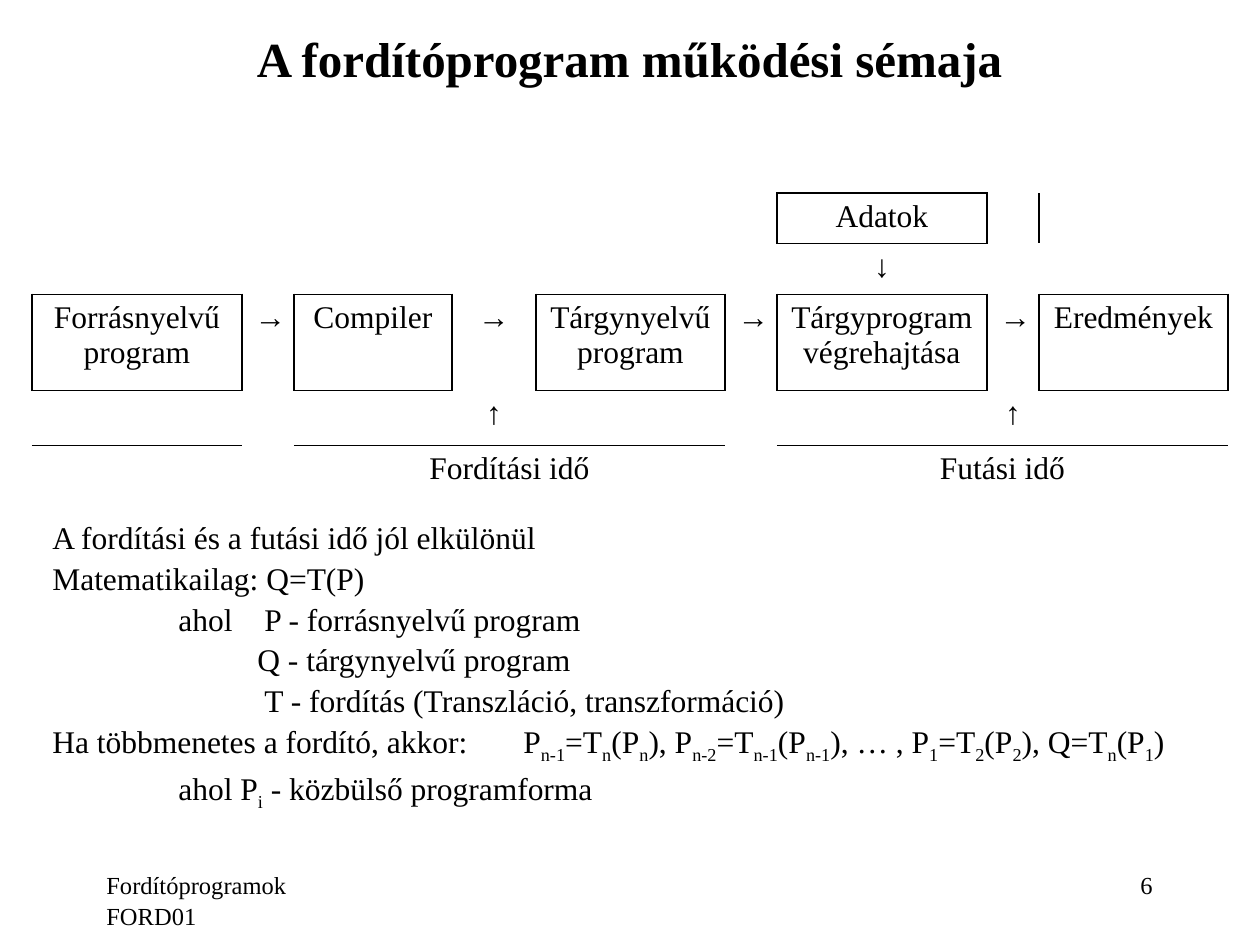
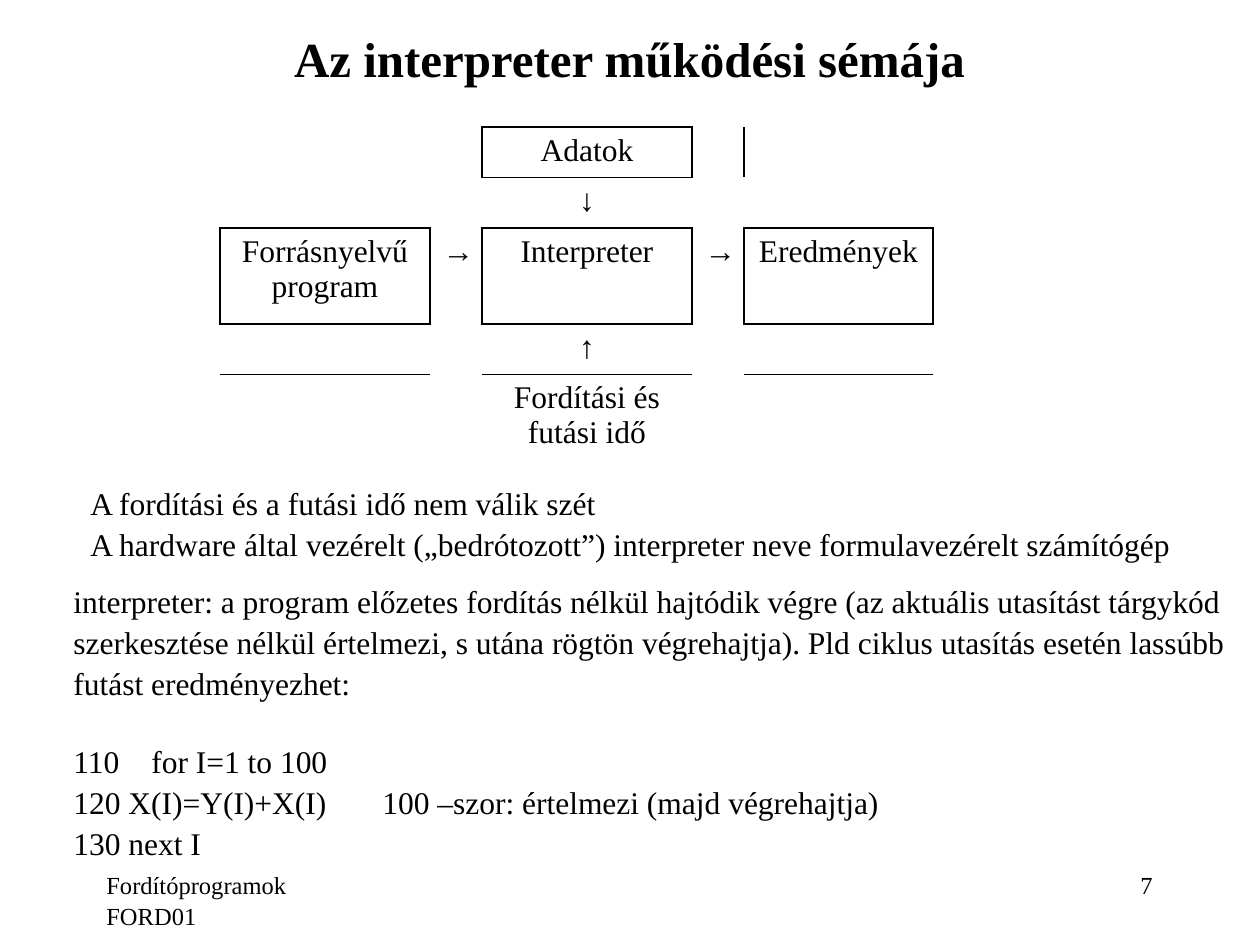
from pptx import Presentation
from pptx import util as u
from pptx.dml.color import RGBColor
from pptx.enum import text
from pptx.oxml import ns
from lxml import etree

SCALE = 914400 / 126
ALIGN = text.PP_ALIGN
NO_GRID = "{2D5ABB26-0587-4C30-8999-92F81FD0307C}"
SIDES = {"lnL": (0, -1), "lnR": (0, 1), "lnT": (-1, 0), "lnB": (1, 0)}


def px(n):
    return u.Emu(round(n * SCALE))


def color(value):
    return RGBColor.from_string(value)


def child(parent, tag, **attrs):
    return etree.SubElement(parent, ns.qn("a:" + tag), {k: str(v) for k, v in attrs.items()})


class Deck:
    font = "Times New Roman"
    ink = "000000"
    paper = "FFFFFF"
    title_size, body_size, footer_size = 28, 18, 14
    line_spacing = 1.08

    def __init__(self):
        self.prs = Presentation()
        self.prs.slide_width, self.prs.slide_height = px(1260), px(945)
        self.s = None

    def slide(self, title, number):
        self.s = self.prs.slides.add_slide(self.prs.slide_layouts[6])
        self.s.background.fill.solid()
        self.s.background.fill.fore_color.rgb = color(self.paper)
        tf = self.box(94, 10, 1071, 95)
        tf.vertical_anchor = text.MSO_ANCHOR.MIDDLE
        self.runs(tf.paragraphs[0], title, self.title_size, ALIGN.CENTER, bold=True)
        footers = [(94, "Fordítóprogramok FORD01", ALIGN.LEFT), (903, str(number), ALIGN.RIGHT)]
        for x, words, align in footers:
            p = self.box(x, 861, 262, 63).paragraphs[0]
            p.line_spacing = self.line_spacing
            self.runs(p, words, self.footer_size, align)

    def box(self, x, y, w, h):
        tf = self.s.shapes.add_textbox(px(x), px(y), px(w), px(h)).text_frame
        tf.word_wrap = True
        return tf

    def runs(self, p, words, size, align=ALIGN.LEFT, bold=False):
        p.alignment = align
        for i, part in enumerate(words.split("_")):
            if not part:
                continue
            r = p.add_run()
            r.text = part
            r.font.name, r.font.size, r.font.bold = self.font, u.Pt(size), bold
            r.font.color.rgb = color(self.ink)
            if i % 2:
                r._r.get_or_add_rPr().set("baseline", "-25000")

    def body(self, x, y, w, h, lines):
        tf = self.box(x, y, w, h)
        for i, (words, tabs, before) in enumerate(lines):
            p = tf.paragraphs[0] if i == 0 else tf.add_paragraph()
            p.line_spacing = self.line_spacing
            p.space_before = u.Pt(before)
            self.runs(p, words, self.body_size)
            if tabs:
                tab_list = child(p._p.get_or_add_pPr(), "tabLst")
                for tab in tabs:
                    child(tab_list, "tab", pos=px(tab), algn="l")

    def scheme(self, x, y, cols, rows, boxes, labels, merges=()):
        frame = self.s.shapes.add_table(len(rows), len(cols), px(x), px(y), px(sum(cols)), px(sum(rows)))
        table = frame.table
        table.first_row = table.horz_banding = False
        table._tbl.tblPr.find(ns.qn("a:tableStyleId")).text = NO_GRID
        for col, w in zip(table.columns, cols):
            col.width = px(w)
        for row, h in zip(table.rows, rows):
            row.height = px(h)
        for r, c, last in merges:
            table.cell(r, c).merge(table.cell(r, last))
        words = {**boxes, **labels}
        for r in range(len(rows)):
            for c in range(len(cols)):
                cell = table.cell(r, c)
                self.borders(cell, r, c, boxes)
                cell.fill.background()
                if (r, c) in words:
                    self.runs(cell.text_frame.paragraphs[0], words[r, c], self.body_size, ALIGN.CENTER)

    def borders(self, cell, r, c, boxes):
        tc_pr = cell._tc.get_or_add_tcPr()
        for tag, (dr, dc) in SIDES.items():
            if (r, c) in boxes or (r + dr, c + dc) in boxes:
                ln = child(tc_pr, tag, w=u.Pt(1))
                child(child(ln, "solidFill"), "srgbClr", val=self.ink)


WIDE, MEDIUM, SMALL, GAP, ARROW = 210, 189, 158, 84, 52
RIGHT, DOWN, UP = "→", "↓", "↑"

deck = Deck()

deck.slide("A fordítóprogram működési sémaja", 6)
deck.scheme(
    32, 193,
    [WIDE, ARROW, SMALL, GAP, MEDIUM, ARROW, WIDE, ARROW, MEDIUM],
    [50, 51, 96, 55, 53],
    {(0, 6): "Adatok", (2, 0): "Forrásnyelvű program", (2, 2): "Compiler",
     (2, 4): "Tárgynyelvű program", (2, 6): "Tárgyprogram végrehajtása", (2, 8): "Eredmények"},
    {(1, 6): DOWN, **{(2, c): RIGHT for c in (1, 3, 5, 7)}, (3, 3): UP, (3, 7): UP,
     (4, 2): "Fordítási idő", (4, 6): "Futási idő"},
    [(4, 2, 4), (4, 6, 8)])
deck.body(40, 509, 1162, 277, [
    ("A fordítási és a futási idő jól elkülönül", [], 0),
    ("Matematikailag: Q=T(P)", [], 0),
    ("\tahol\tP - forrásnyelvű program", [126, 212], 0),
    ("\tQ - tárgynyelvű program", [205], 0),
    ("\tT - fordítás (Transzláció, transzformáció)", [212], 0),
    ("Ha többmenetes a fordító, akkor:\tP_n-1_=T_n_(P_n_), P_n-2_=T_n-1_(P_n-1_), … , "
     "P_1_=T_2_(P_2_), Q=T_n_(P_1_)", [471], 0),
    ("\tahol P_i_ - közbülső programforma", [126], 0)])

deck.slide("Az interpreter működési sémája", 7)
deck.scheme(
    220, 127,
    [WIDE, ARROW, WIDE, ARROW, MEDIUM],
    [50, 50, 96, 50, 88],
    {(0, 2): "Adatok", (2, 0): "Forrásnyelvű program", (2, 2): "Interpreter", (2, 4): "Eredmények"},
    {(1, 2): DOWN, (2, 1): RIGHT, (2, 3): RIGHT, (3, 2): UP, (4, 2): "Fordítási és futási idő"})
deck.body(78, 475, 1109, 113, [
    ("A fordítási és a futási idő nem válik szét", [], 0),
    ("A hardware által vezérelt („bedrótozott”) interpreter neve formulavezérelt számítógép", [], 0)])
deck.body(61, 573, 1197, 330, [
    ("interpreter: a program előzetes fordítás nélkül hajtódik végre (az aktuális utasítást tárgykód", [], 0),
    ("szerkesztése nélkül értelmezi, s utána rögtön végrehajtja). Pld ciklus utasítás esetén lassúbb", [], 0),
    ("futást eredményezhet:", [], 0),
    ("110\tfor I=1 to 100", [78], 21.6),
    ("120 X(I)=Y(I)+X(I)\t100 –szor: értelmezi (majd végrehajtja)", [309], 0),
    ("130 next I", [], 0)])

deck.prs.save("out.pptx")
